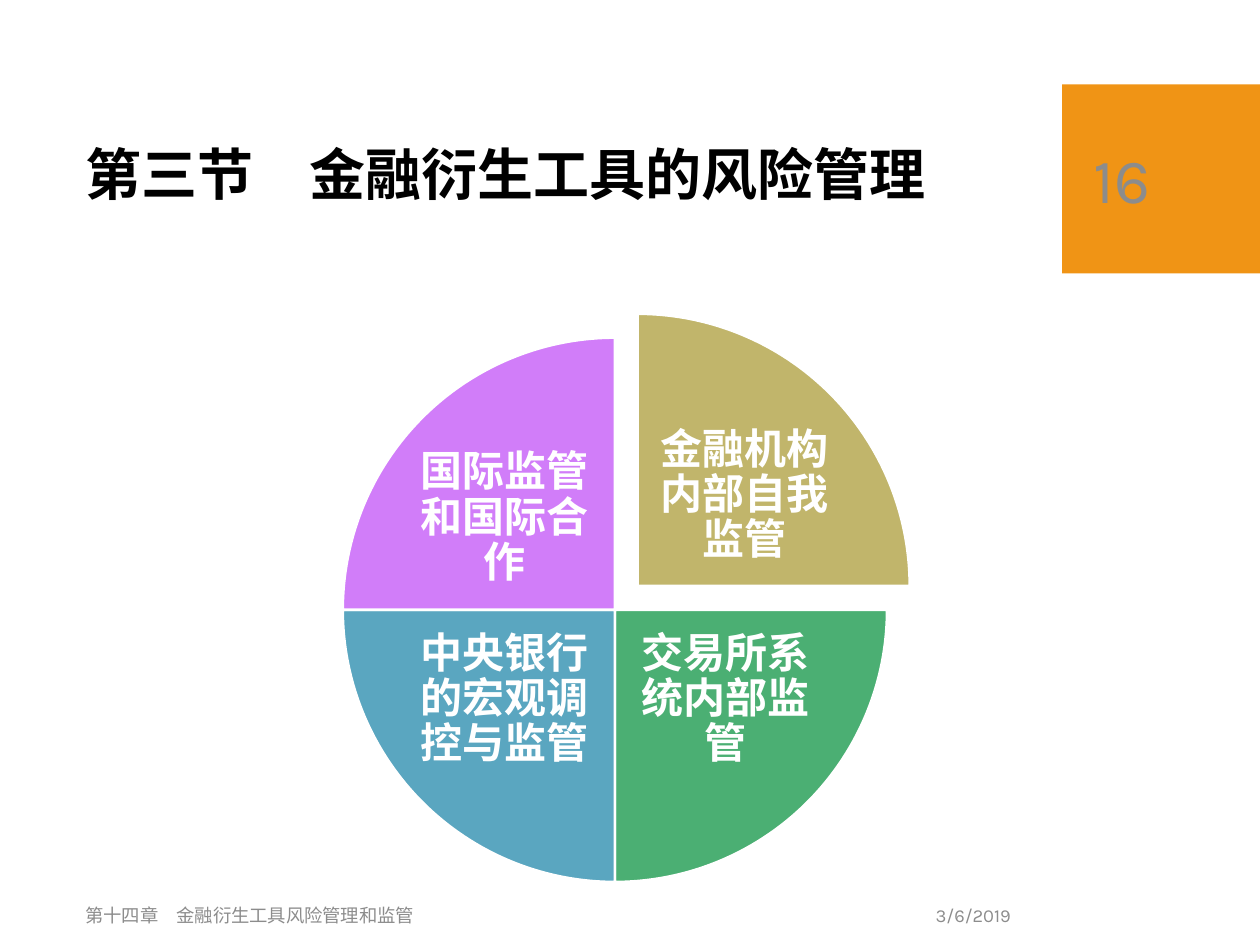
from pptx import Presentation
from pptx.dml.color import RGBColor
from pptx.enum.shapes import MSO_SHAPE
from pptx.enum.text import MSO_ANCHOR, PP_ALIGN
from pptx.util import Inches, Pt

PIE, RECT = MSO_SHAPE.PIE, MSO_SHAPE.RECTANGLE
MIDDLE = MSO_ANCHOR.MIDDLE
LEFT, CENTER, RIGHT = PP_ALIGN.LEFT, PP_ALIGN.CENTER, PP_ALIGN.RIGHT
FONT = "Karla"
COLORS = {
    "orange": "F09415", "black": "000000", "white": "FFFFFF", "gray": "8C8C8C",
    "gold": "C1B56B", "green": "4BAF73", "blue": "5AA6C0", "violet": "D17DF9",
}
SLICES = [
    ("金融机构内部自我监管", "gold", (0.18, -0.19), (2.21, 0.8)),
    ("交易所系统内部监管", "green", (0, 0), (2.24, 2.23)),
    ("中央银行的宏观调控与监管", "blue", (0, 0), (0.49, 2.23)),
    ("国际监管和国际合作", "violet", (0, 0), (0.49, 0.79)),
]


def color(name):
    """Return a named colour."""
    return RGBColor.from_string(COLORS[name])


def write(shape, text, size, tone, align=LEFT, bold=False, space=1.0, inset=None):
    """Fill a shape with one formatted paragraph."""
    frame = shape.text_frame
    frame.word_wrap = True
    frame.vertical_anchor = MIDDLE
    if inset is not None:
        frame.margin_left = frame.margin_right = Inches(inset)
        frame.margin_top = frame.margin_bottom = Inches(inset)
    para = frame.paragraphs[0]
    para.text = text
    para.alignment = align
    para.line_spacing = space
    font = para.font
    font.name, font.size, font.bold = FONT, Pt(size), bold
    font.color.rgb = color(tone)


def label(slide, box, text, size, tone, **style):
    """Add a text box."""
    write(slide.shapes.add_textbox(*map(Inches, box)), text, size, tone, **style)


def block(slide, kind, box, tone):
    """Add a filled shape without a shadow."""
    shape = slide.shapes.add_shape(kind, *map(Inches, box))
    shape.shadow.inherit = False
    shape.fill.solid()
    shape.fill.fore_color.rgb = color(tone)
    shape.line.fill.background()
    return shape


def header(slide, left, top):
    """Place the title and the numbered tab."""
    block(slide, RECT, (left + 7.85, top - 0.15, 1.57, 1.5), "orange")
    title = slide.shapes.title
    title.left, title.top = Inches(left), Inches(top)
    title.width, title.height = Inches(7.54), Inches(1.18)
    write(title, "第三节　金融衍生工具的风险管理", 32, "black", bold=True, space=0.9)
    label(slide, (left + 8, top, 1.27, 1.19), "16", 36, "gray")


def wheel(slide, left, top, size):
    """Draw four quarter slices clockwise with their labels."""
    for i, (text, tone, (dx, dy), (tx, ty)) in enumerate(SLICES):
        x, y = left + dx, top + dy
        part = block(slide, PIE, (x, y, size, size), tone)
        part.adjustments[0] = (270 + 90 * i) % 360 * 0.6
        part.adjustments[1] = 90 * i * 0.6
        part.line.color.rgb = color("white")
        part.line.width = Pt(1.5)
        label(slide, (x + tx, y + ty, 1.59, 1.29), text, 24, "white",
              align=CENTER, bold=True, space=0.9, inset=0.03)


def footer(slide, left, top):
    """Place the chapter name and the date."""
    label(slide, (left, top, 5.29, 0.4), "第十四章　金融衍生工具风险管理和监管", 10.5, "gray")
    label(slide, (left + 5.29, top, 2.25, 0.4), "3/6/2019", 10.5, "gray", align=RIGHT)


def main():
    """Build and save the slide."""
    deck = Presentation()
    deck.slide_width, deck.slide_height = Inches(10), Inches(7.5)
    slide = deck.slides.add_slide(deck.slide_layouts[5])
    header(slide, 0.58, 0.82)
    wheel(slide, 2.72, 2.68, 4.32)
    footer(slide, 0.58, 7.06)
    deck.save("out.pptx")


main()
